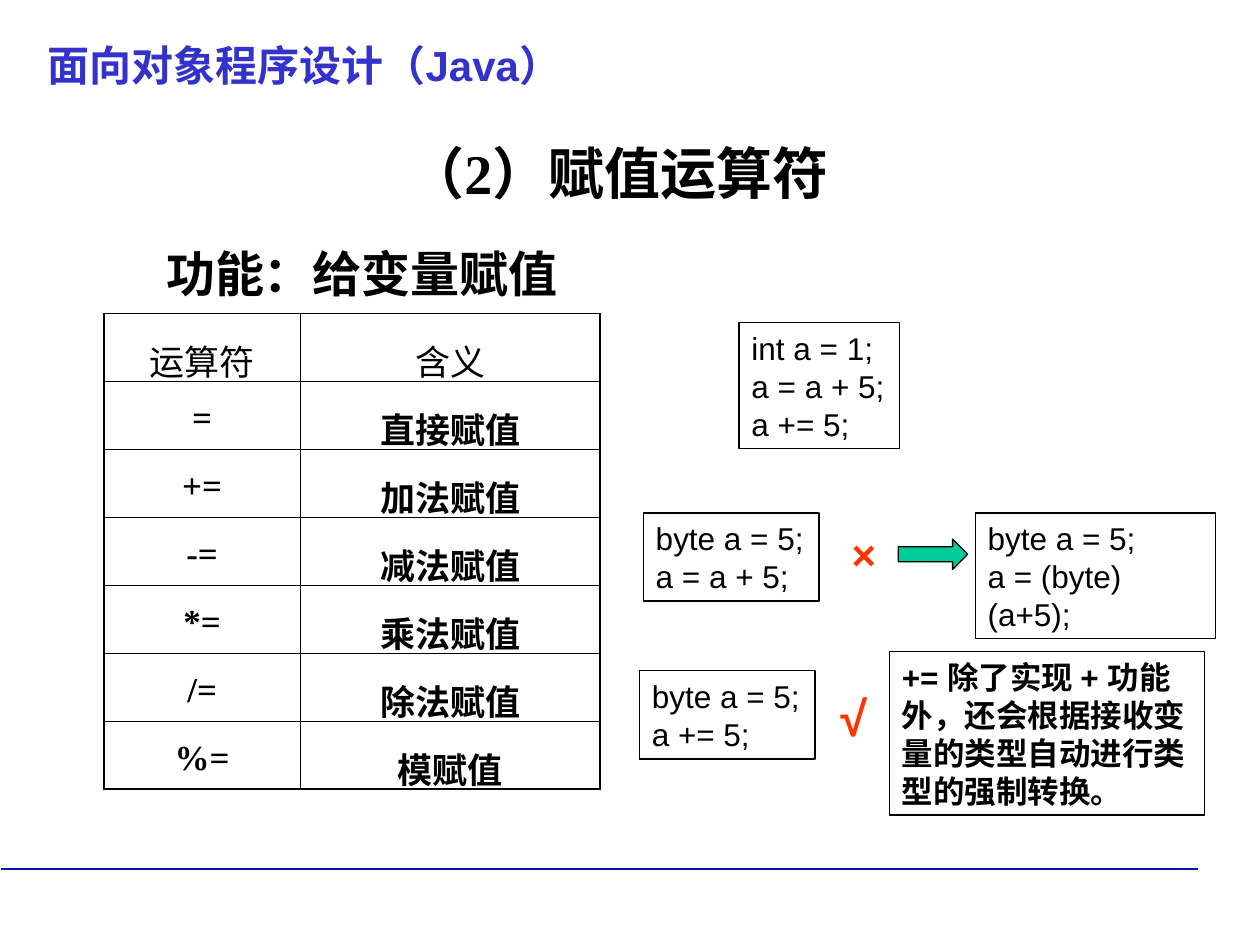
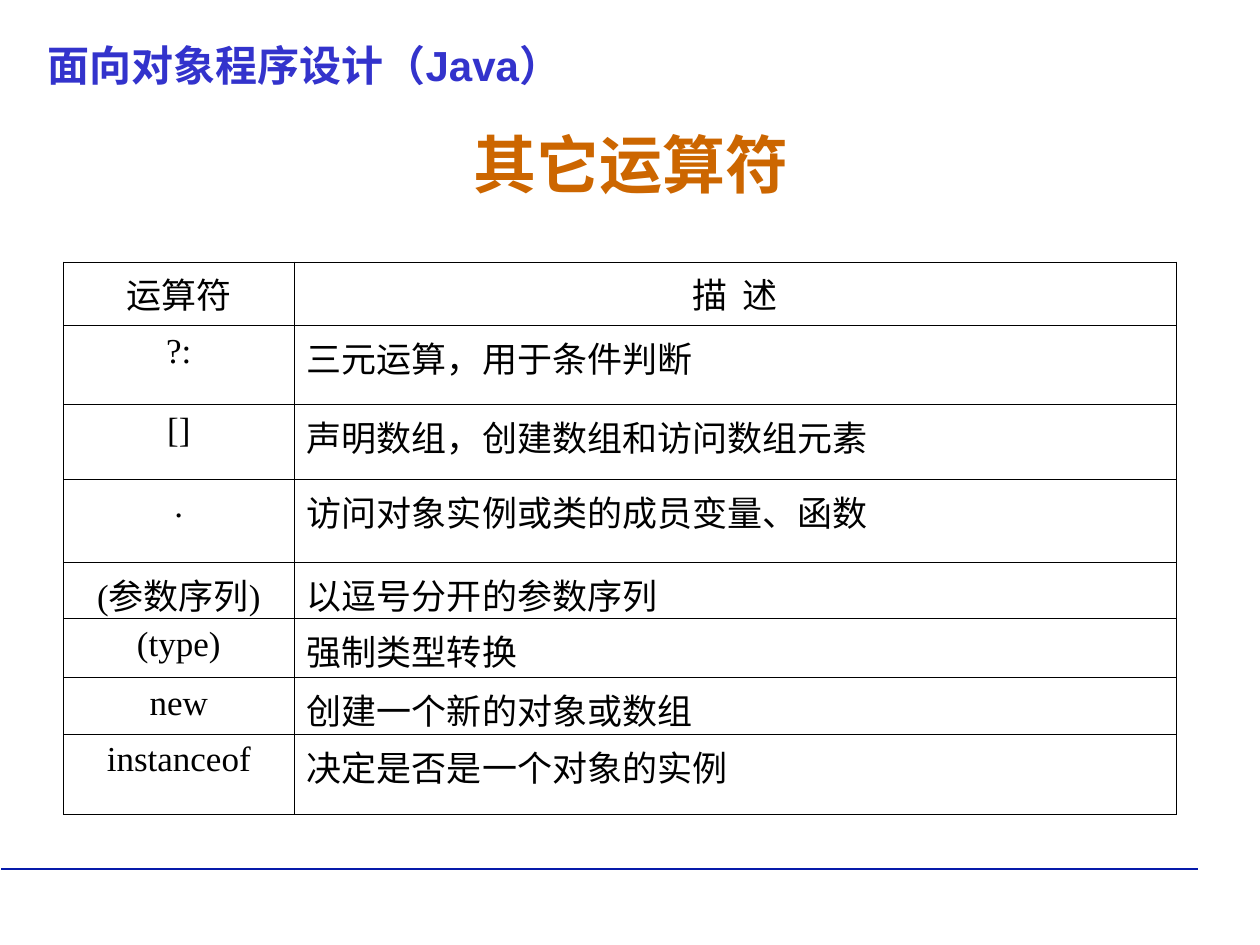
from dataclasses import dataclass

from lxml.etree import SubElement
from pptx import Presentation
from pptx.dml.color import RGBColor
from pptx.enum.shapes import MSO_CONNECTOR, MSO_SHAPE
from pptx.enum.text import MSO_ANCHOR, PP_ALIGN
from pptx.oxml.ns import qn
from pptx.slide import Slide
from pptx.text.text import TextFrame
from pptx.util import Cm, Length, Pt


@dataclass(frozen=True)
class Theme:
    ink: str = "000000"
    course: str = "3333CC"
    rule: str = "061AAA"
    heading: str = "CC6600"
    verdict: str = "FF3300"
    arrow: str = "00CC99"
    sans: str = "Arial"
    serif: str = "Times New Roman"
    mono: str = "Courier New"
    chinese: str = "Noto Sans CJK SC"
    heading_size: int = 36
    title_size: int = 32
    lead_size: int = 28
    course_size: int = 24
    cell_size: int = 20
    code_size: int = 18
    thin: float = 0.45
    thick: float = 0.96
    outline: float = 0.75
    code_leading: float = 1.206
    title_leading: float = 1.28
    lead_leading: float = 1.68


THEME = Theme()


@dataclass(frozen=True)
class Style:
    size: int
    font: str = THEME.sans
    color: str = THEME.ink
    bold: bool = False
    align: PP_ALIGN = PP_ALIGN.LEFT
    leading: float = THEME.code_leading


@dataclass(frozen=True)
class Box:
    left: float
    top: float
    width: float
    height: float

    def lengths(self) -> tuple[Length, ...]:
        return Cm(self.left), Cm(self.top), Cm(self.width), Cm(self.height)


@dataclass(frozen=True)
class Caption:
    text: str
    box: Box
    style: Style
    framed: bool = False
    wrap: bool = True


@dataclass(frozen=True)
class Grid:
    left: float
    top: float
    columns: tuple[float, ...]
    heights: tuple[float, ...]
    rows: tuple[tuple[str, str], ...]
    header: Style
    body: tuple[Style, Style]
    edge: float
    spacing: float


CODE = Style(THEME.code_size)
NOTE = Style(THEME.code_size, bold=True)
COURSE = Caption(
    "面向对象程序设计（Java）",
    Box(0.71, 0.61, 23.42, 1.3),
    Style(THEME.course_size, color=THEME.course, bold=True, leading=THEME.title_leading),
)

ASSIGNMENT_CAPTIONS = (
    Caption(
        "（2）赋值运算符",
        Box(1.04, 2.57, 22.86, 1.96),
        Style(THEME.title_size, THEME.serif, bold=True,
              align=PP_ALIGN.CENTER, leading=THEME.title_leading),
    ),
    Caption(
        "功能：给变量赋值",
        Box(3.1, 4.32, 11.23, 1.88),
        Style(THEME.lead_size, THEME.serif, bold=True, leading=THEME.lead_leading),
    ),
    Caption("int a = 1;\na = a + 5;\na += 5;", Box(14.9, 6.5, 3.23, 2.54), CODE, True),
    Caption("byte a = 5;\na = a + 5;", Box(12.97, 10.34, 3.54, 1.78), CODE, True),
    Caption("byte a = 5;\na = (byte)(a+5);", Box(19.66, 10.34, 4.85, 2.54), CODE, True),
    Caption("byte a = 5;\na += 5;", Box(12.89, 13.52, 3.54, 1.78), CODE, True),
    Caption("√", Box(16.69, 13.72, 1.17, 1.45),
            Style(THEME.lead_size, color=THEME.verdict, bold=True)),
    Caption("×", Box(16.92, 10.52, 0.99, 1.27),
            Style(THEME.course_size, color=THEME.verdict, bold=True), wrap=False),
    Caption("+= 除了实现 + 功能外，还会根据接收变量的类型自动进行类型的强制转换。",
            Box(17.93, 13.13, 6.35, 3.3), NOTE, True),
)
CAST_ARROW = Box(18.11, 10.87, 1.4, 0.61)

ASSIGNMENT_GRID = Grid(
    left=2.1, top=6.32, columns=(3.95, 6.05), heights=(1.37,) * 7,
    rows=(
        ("运算符", "含义"),
        ("=", "直接赋值"),
        ("+=", "加法赋值"),
        ("-=", "减法赋值"),
        ("*=", "乘法赋值"),
        ("/=", "除法赋值"),
        ("%=", "模赋值"),
    ),
    header=Style(THEME.cell_size, THEME.chinese, align=PP_ALIGN.CENTER),
    body=(
        Style(THEME.cell_size, THEME.serif, bold=True, align=PP_ALIGN.CENTER),
        Style(THEME.cell_size, THEME.mono, bold=True, align=PP_ALIGN.CENTER),
    ),
    edge=THEME.thick, spacing=1.3,
)

OTHER_HEADING = Caption(
    "其它运算符",
    Box(1.3, 2.31, 22.86, 3.18),
    Style(THEME.heading_size, THEME.serif, THEME.heading, True,
          PP_ALIGN.CENTER, THEME.title_leading),
)
OTHER_GRID = Grid(
    left=1.28, top=5.28, columns=(4.65, 17.78),
    heights=(1.28, 1.6, 1.51, 1.66, 1.14, 1.19, 1.14, 1.61),
    rows=(
        ("运算符", "描  述"),
        ("?:", "三元运算，用于条件判断"),
        ("[]", "声明数组，创建数组和访问数组元素"),
        (".", "访问对象实例或类的成员变量、函数"),
        ("(参数序列)", "以逗号分开的参数序列"),
        ("(type)", "强制类型转换"),
        ("new", "创建一个新的对象或数组"),
        ("instanceof", "决定是否是一个对象的实例"),
    ),
    header=Style(THEME.cell_size, THEME.serif, align=PP_ALIGN.CENTER),
    body=(
        Style(THEME.cell_size, THEME.serif, align=PP_ALIGN.CENTER),
        Style(THEME.cell_size, THEME.serif),
    ),
    edge=THEME.thin, spacing=1.0,
)


def rgb(color: str) -> RGBColor:
    return RGBColor.from_string(color)


def write(frame: TextFrame, text: str, style: Style, spacing: float | Length) -> None:
    frame.text = text
    for paragraph in frame.paragraphs:
        paragraph.alignment = style.align
        paragraph.line_spacing = spacing
        for run in paragraph.runs:
            run.font.name = style.font
            run.font.size = Pt(style.size)
            run.font.bold = style.bold
            run.font.color.rgb = rgb(style.color)
            SubElement(run.font._element, qn("a:ea"), typeface=THEME.chinese)


def draw_caption(slide: Slide, caption: Caption) -> None:
    box = caption.box.lengths()
    if caption.framed:
        shape = slide.shapes.add_shape(MSO_SHAPE.RECTANGLE, *box)
        shape.shadow.inherit = False
        shape.fill.background()
        shape.line.color.rgb = rgb(THEME.ink)
        shape.line.width = Pt(THEME.outline)
    else:
        shape = slide.shapes.add_textbox(*box)
    frame = shape.text_frame
    frame.word_wrap = caption.wrap
    frame.vertical_anchor = MSO_ANCHOR.TOP
    style = caption.style
    write(frame, caption.text, style, Pt(round(style.size * style.leading, 1)))


def draw_arrow(slide: Slide, box: Box) -> None:
    arrow = slide.shapes.add_shape(MSO_SHAPE.RIGHT_ARROW, *box.lengths())
    arrow.shadow.inherit = False
    arrow.fill.solid()
    arrow.fill.fore_color.rgb = rgb(THEME.arrow)
    arrow.line.color.rgb = rgb(THEME.ink)
    arrow.line.width = Pt(THEME.outline)


def draw_grid(slide: Slide, grid: Grid) -> None:
    box = Box(grid.left, grid.top, sum(grid.columns), sum(grid.heights))
    last_row, last_column = len(grid.rows) - 1, len(grid.columns) - 1
    table = slide.shapes.add_table(last_row + 1, last_column + 1, *box.lengths()).table
    table.first_row = table.horz_banding = False
    for column, width in zip(table.columns, grid.columns):
        column.width = Cm(width)
    for r, (texts, height) in enumerate(zip(grid.rows, grid.heights)):
        table.rows[r].height = Cm(height)
        for c, text in enumerate(texts):
            cell = table.cell(r, c)
            write(cell.text_frame, text, grid.body[c] if r else grid.header, grid.spacing)
            outer = {"lnL": c == 0, "lnR": c == last_column,
                     "lnT": r == 0, "lnB": r == last_row}
            properties = cell._tc.get_or_add_tcPr()
            for side, is_outer in outer.items():
                width = Pt(grid.edge if is_outer else THEME.thin)
                border = SubElement(properties, qn(f"a:{side}"), w=str(int(width)))
                fill = SubElement(border, qn("a:solidFill"))
                SubElement(fill, qn("a:srgbClr"), val=THEME.ink)
            cell.fill.background()


def add_course_slide(deck: Presentation) -> Slide:
    slide = deck.slides.add_slide(deck.slide_layouts[6])
    rule = slide.shapes.add_connector(
        MSO_CONNECTOR.STRAIGHT, Cm(0.03), Cm(17.52), Cm(24.15), Cm(17.52))
    rule.line.color.rgb = rgb(THEME.rule)
    rule.line.width = Pt(1)
    SubElement(rule._element.spPr, qn("a:effectLst"))
    draw_caption(slide, COURSE)
    return slide


def main() -> None:
    deck = Presentation()
    deck.slide_width, deck.slide_height = Cm(25.4), Cm(19.05)

    assignment = add_course_slide(deck)
    draw_grid(assignment, ASSIGNMENT_GRID)
    for caption in ASSIGNMENT_CAPTIONS:
        draw_caption(assignment, caption)
    draw_arrow(assignment, CAST_ARROW)

    others = add_course_slide(deck)
    draw_caption(others, OTHER_HEADING)
    draw_grid(others, OTHER_GRID)

    deck.save("out.pptx")


if __name__ == "__main__":
    main()
